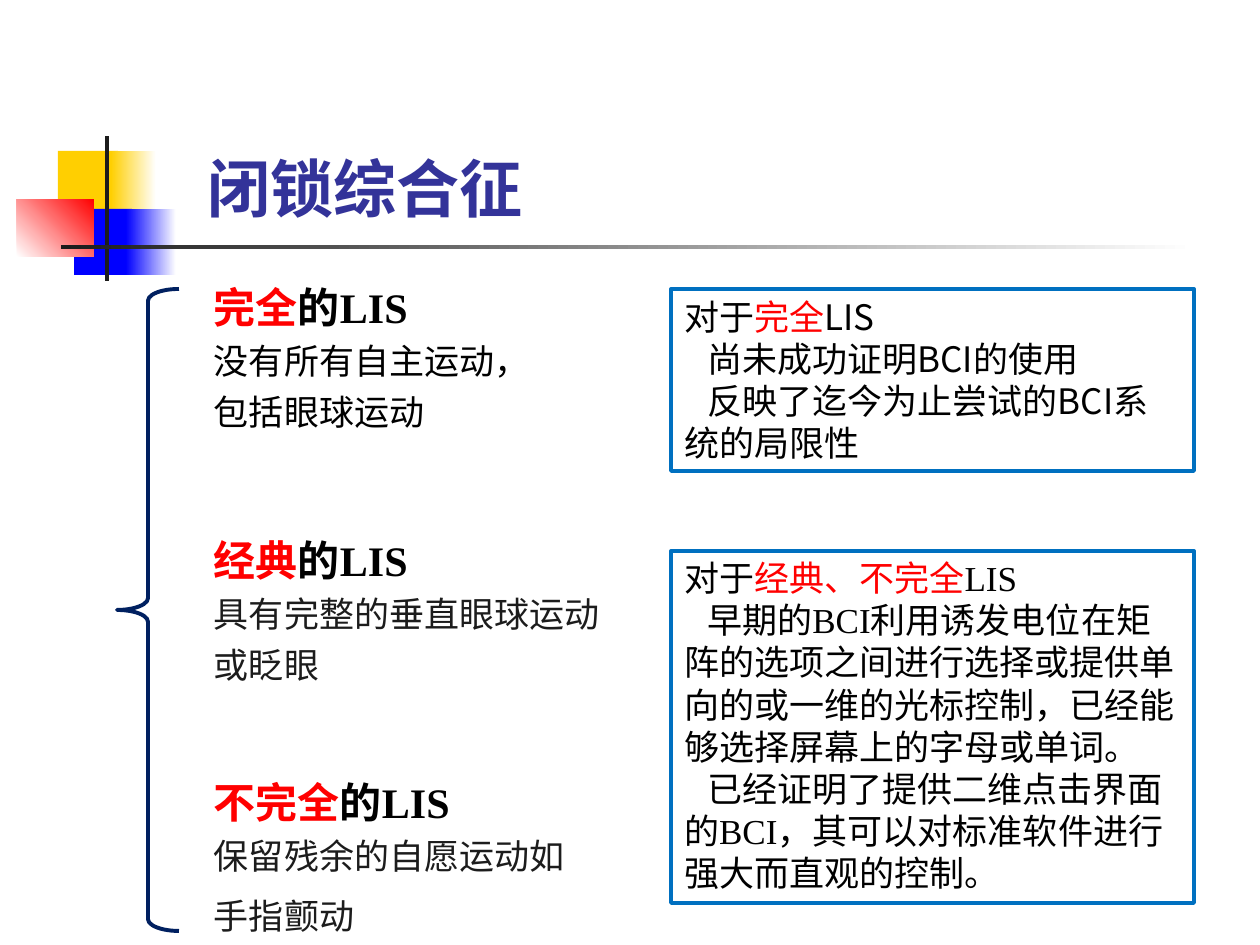
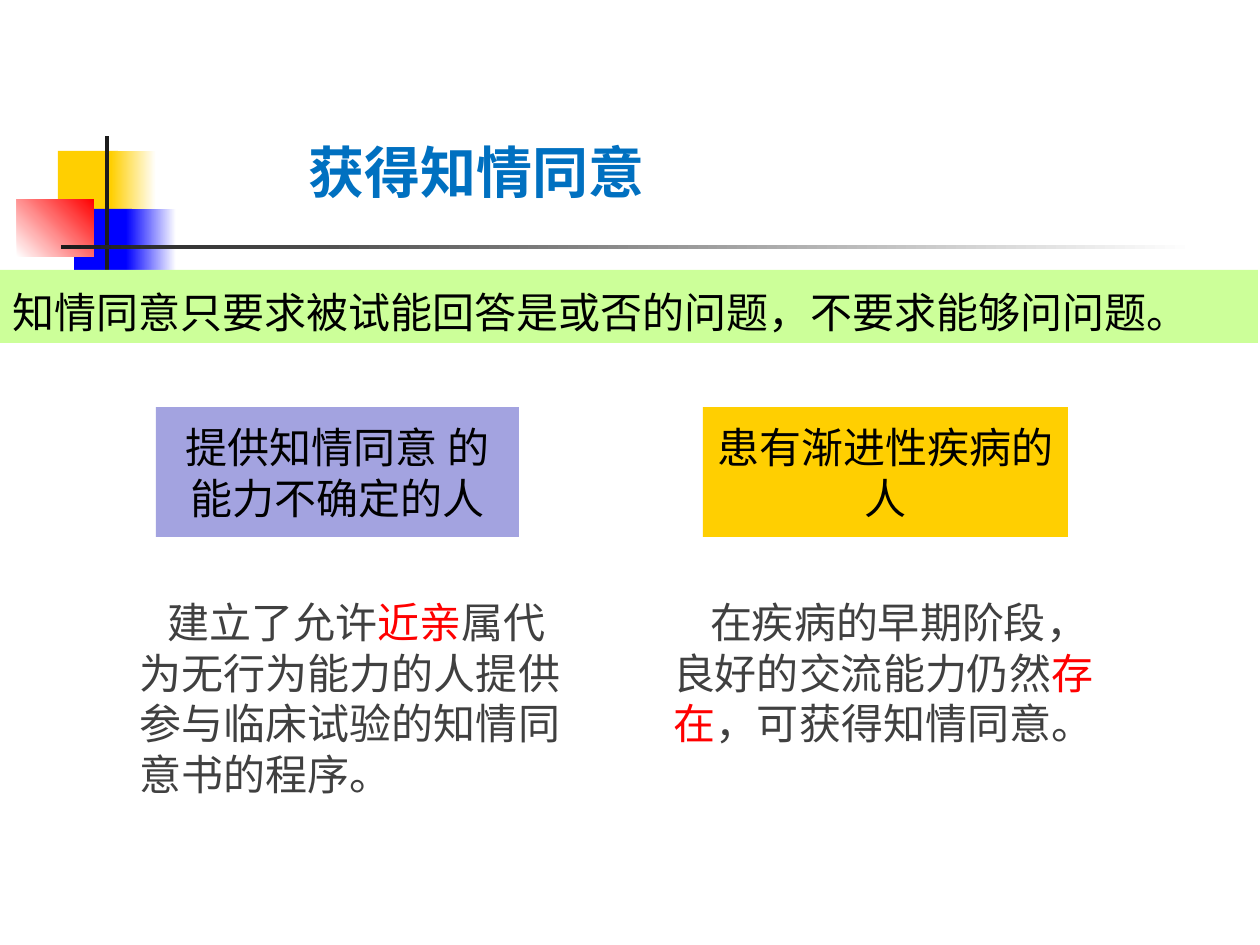
from lxml.etree import SubElement
from pptx import Presentation
from pptx.dml.color import RGBColor
from pptx.enum.shapes import MSO_SHAPE as Kind
from pptx.enum.text import MSO_ANCHOR as Anchor, MSO_AUTO_SIZE as Auto, PP_ALIGN as Align
from pptx.oxml.ns import qn
from pptx.util import Pt

PX = 914400 / 126
SANS = "Noto Sans CJK SC"
SERIF = "Times New Roman"
BLACK = RGBColor(0x00, 0x00, 0x00)
WHITE = RGBColor(0xFF, 0xFF, 0xFF)
INK = RGBColor(0x1C, 0x1C, 0x1C)
GREY = RGBColor(0x40, 0x40, 0x40)
RED = RGBColor(0xFF, 0x00, 0x00)
GOLD = RGBColor(0xFF, 0xCF, 0x01)
BLUE = RGBColor(0x00, 0x00, 0xFF)
NAVY = RGBColor(0x00, 0x20, 0x60)
INDIGO = RGBColor(0x33, 0x33, 0x99)
SKY = RGBColor(0x00, 0x70, 0xC0)
LILAC = RGBColor(0xA3, 0xA3, 0xE0)
LIME = RGBColor(0xCC, 0xFF, 0x99)


def px(n):
    """Turn pixels into EMU."""
    return round(n * PX)


def place(shape, box):
    """Move a shape to a box."""
    shape.left, shape.top, shape.width, shape.height = map(px, box)


def draw(slide, box, fill=None, line=None, kind=Kind.RECTANGLE):
    """Add a flat shape; a pair of colours makes a gradient."""
    shape = slide.shapes.add_shape(kind, *map(px, box))
    shape.shadow.inherit = False
    if fill is None:
        shape.fill.background()
    elif isinstance(fill, RGBColor):
        shape.fill.solid()
        shape.fill.fore_color.rgb = fill
    else:
        shape.fill.gradient()
        for stop, tint in zip(shape.fill.gradient_stops, fill):
            stop.color.rgb = tint
        shape.fill.gradient_angle = 0
    if line is None:
        shape.line.fill.background()
    else:
        shape.line.color.rgb = line
        shape.line.width = Pt(2.25)
    return shape


def frame(shape, anchor=Anchor.TOP, pad=(13, 6)):
    """Prepare the text frame of a shape."""
    text = shape.text_frame
    text.word_wrap = True
    text.auto_size = Auto.NONE
    text.vertical_anchor = anchor
    text.margin_left = text.margin_right = px(pad[0])
    text.margin_top = text.margin_bottom = px(pad[1])
    return text


def write(text, words, size, tint, face=SANS, mark="", bold=False,
          lead=1.2, indent=0, align=Align.LEFT):
    """Add a paragraph whose marked words are red."""
    para = text.paragraphs[0]
    if para.runs:
        para = text.add_paragraph()
    para.alignment = align
    para.line_spacing = Pt(round(size * lead, 1))
    props = para._p.get_or_add_pPr()
    props.set("marL", "0")
    props.set("indent", str(px(indent)))
    font = para.font
    font.size, font.bold, font.name = Pt(size), bold, face
    SubElement(props.find(qn("a:defRPr")), qn("a:ea"), typeface=SANS)
    parts = words.partition(mark) if mark else (words,)
    for part in filter(None, parts):
        run = para.add_run()
        run.text = part
        run.font.color.rgb = RED if part == mark else tint
    return para


def start(deck, title, box, size, tint, face, anchor):
    """Add a slide with its title and the corner motif."""
    slide = deck.slides.add_slide(deck.slide_layouts[5])
    head = slide.shapes.title
    place(head, box)
    write(frame(head, anchor), title, size, tint, face, bold=True)
    motif(slide, 17, 136)
    return slide


def motif(slide, x, y):
    """Draw the coloured squares and crossing rules."""
    for left, top, wide, high, fill in (
            (41, 15, 60, 66, GOLD), (94, 15, 45, 66, (GOLD, WHITE)),
            (57, 73, 58, 66, BLUE), (109, 73, 50, 66, (BLUE, WHITE))):
        draw(slide, (x + left, y + top, wide, high), fill)
    glow = draw(slide, (x, y + 63, 77, 58), (WHITE, RED))
    glow.fill.gradient_angle = 45
    draw(slide, (x + 88, y, 4, 145), INK)
    draw(slide, (x + 44, y + 109, 1134, 4), (INK, WHITE))


def kind_box(slide, y, name, lines, tint, gap):
    """Write one type of LIS with its description."""
    box = slide.shapes.add_textbox(*map(px, (195, y, 476, 175)))
    text = frame(box, pad=(19, 10))
    write(text, name + "的LIS", 24, BLACK, SERIF, name, True, 1.44)
    for line in lines:
        para = write(text, line, 20, tint, SERIF, lead=1.44)
    para.space_before = Pt(gap)


def note(slide, y, high, face, group, lines):
    """Write an outlined note about a group."""
    text = frame(draw(slide, (671, y, 523, high), line=SKY))
    write(text, f"对于{group}LIS", 20, BLACK, face, group)
    for line in lines:
        write(text, line, 20, BLACK, face, indent=23)


def types(deck):
    """Build the slide on types of locked-in syndrome."""
    slide = start(deck, "闭锁综合征", (195, 29, 544, 202), 36, INDIGO, SANS,
                  Anchor.BOTTOM)
    brace = draw(slide, (117, 289, 62, 642), line=NAVY, kind=Kind.LEFT_BRACE)
    brace.adjustments[0] = 0.19
    for y, name, lines, tint, gap in (
            (261, "完全", ("没有所有自主运动，", "包括眼球运动"), BLACK, 0),
            (514, "经典", ("具有完整的垂直眼球运动", "或眨眼"), INK, 0),
            (756, "不完全", ("保留残余的自愿运动如", "手指颤动"), INK, 5)):
        kind_box(slide, y, name, lines, tint, gap)
    note(slide, 289, 182, SANS, "完全",
         ("尚未成功证明BCI的使用", "反映了迄今为止尝试的BCI系统的局限性"))
    note(slide, 551, 352, SERIF, "经典、不完全",
         ("早期的BCI利用诱发电位在矩阵的选项之间进行选择或提供单向的或一维的"
          "光标控制，已经能够选择屏幕上的字母或单词。",
          "已经证明了提供二维点击界面的BCI，其可以对标准软件进行强大而直观的控制。"))


def case(slide, box, fill, name, x, indent, words, mark):
    """Draw a group label and the text below it."""
    text = frame(draw(slide, box, fill), Anchor.MIDDLE)
    write(text, name, 24, BLACK, SERIF, align=Align.CENTER)
    body = slide.shapes.add_textbox(*map(px, (x, box[1] + 184, 450, 217)))
    write(frame(body), words, 24, GREY, mark=mark, indent=indent)


def consent(deck):
    """Build the slide on informed consent."""
    slide = start(deck, "获得知情同意", (295, 131, 670, 81), 32, SKY, SERIF,
                  Anchor.TOP)
    band = frame(draw(slide, (0, 270, 1258, 73), LIME))
    write(band, "知情同意只要求被试能回答是或否的问题，不要求能够问问题。",
          24, BLACK, lead=1.44)
    case(slide, (156, 407, 363, 130), LILAC, "提供知情同意 的能力不确定的人",
         127, 28, "建立了允许近亲属代为无行为能力的人提供参与临床试验的知情同意书的程序。",
         "近亲")
    case(slide, (703, 407, 365, 130), GOLD, "患有渐进性疾病的人",
         660, 37, "在疾病的早期阶段，良好的交流能力仍然存在，可获得知情同意。", "存在")


def main():
    """Build and save the deck."""
    deck = Presentation()
    deck.slide_width, deck.slide_height = px(1260), px(945)
    types(deck)
    consent(deck)
    deck.save("out.pptx")


if __name__ == "__main__":
    main()
